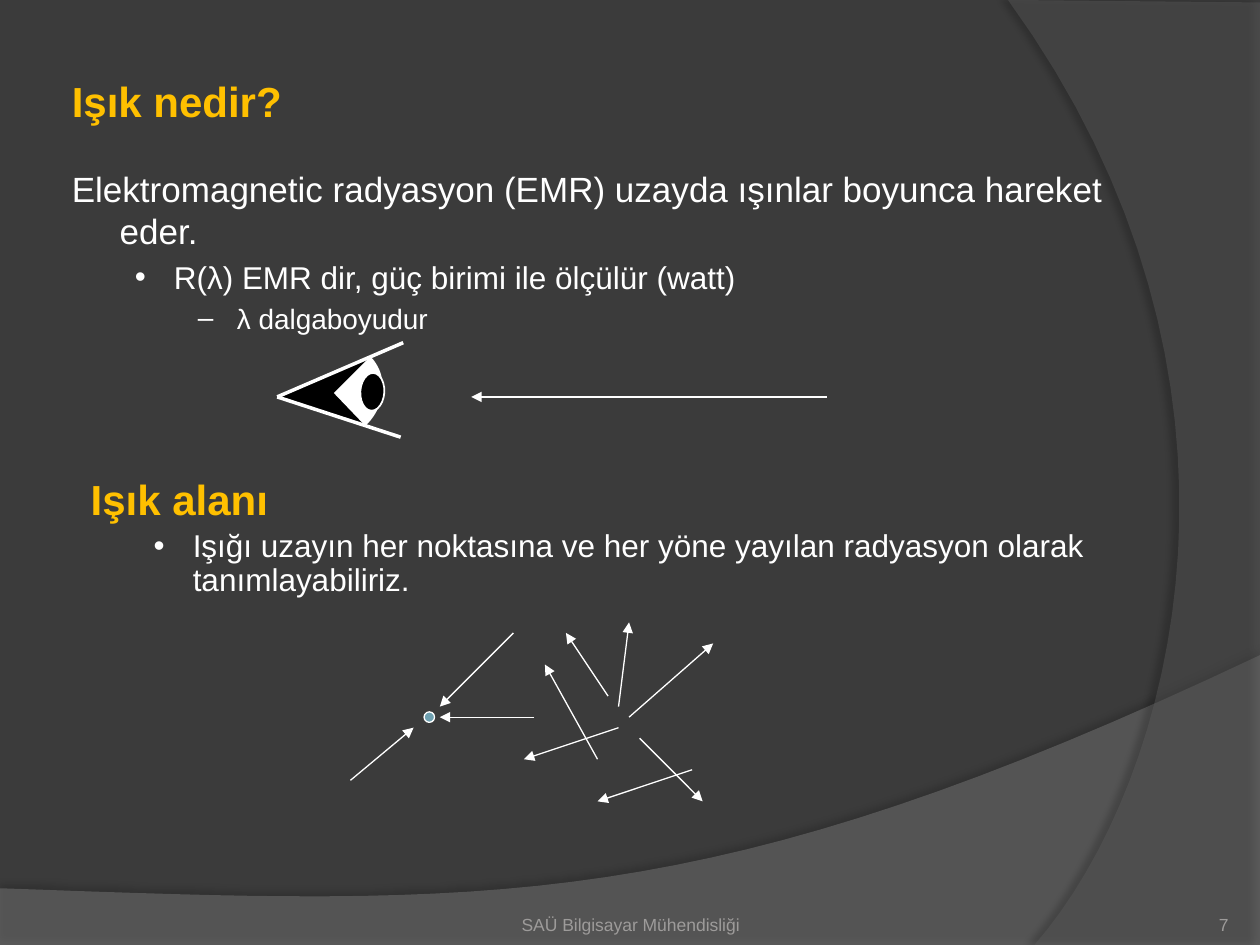
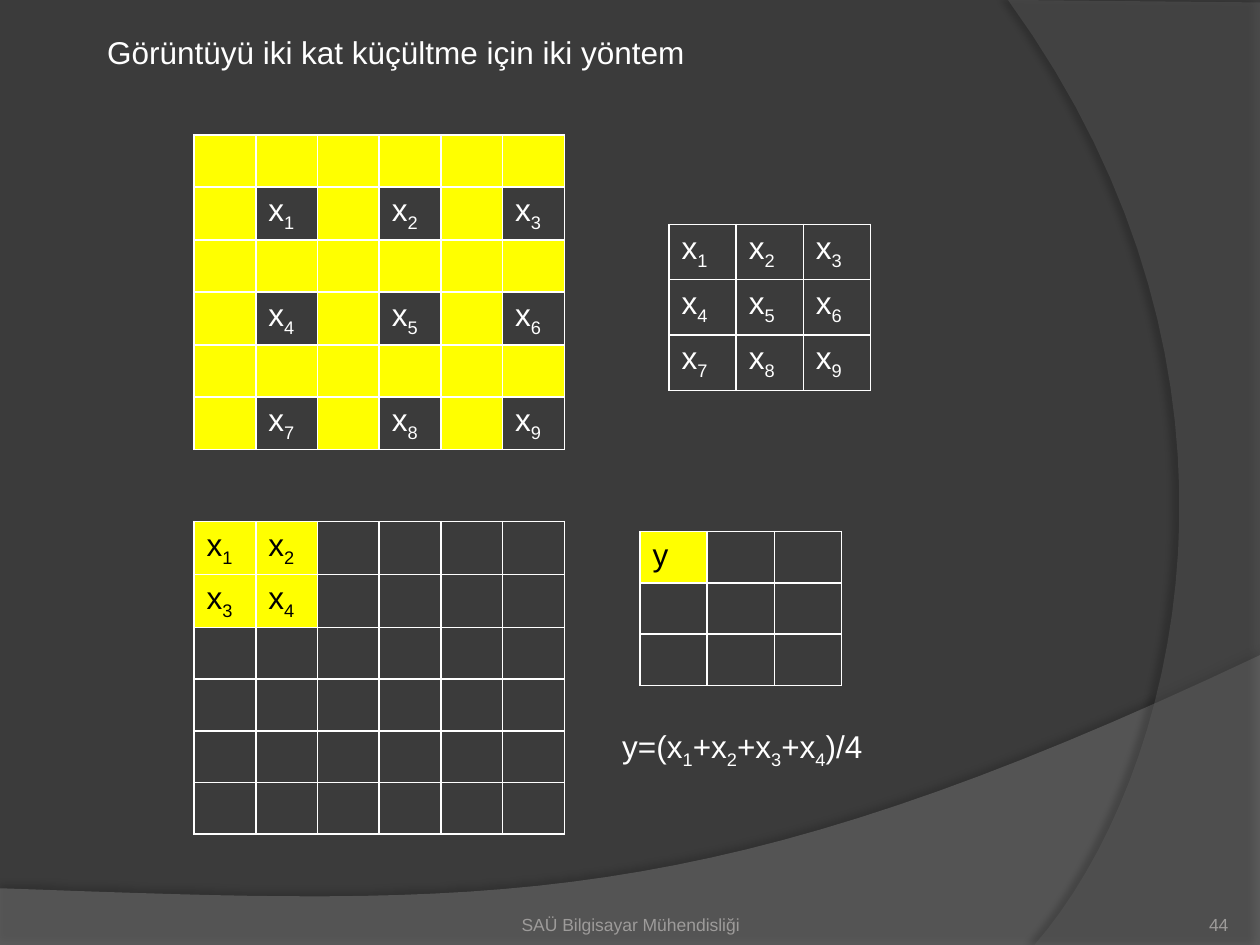
from dataclasses import dataclass

from lxml.etree import SubElement
from pptx import Presentation
from pptx.dml.color import RGBColor
from pptx.enum.shapes import MSO_CONNECTOR, MSO_SHAPE
from pptx.enum.text import MSO_ANCHOR, MSO_AUTO_SIZE, PP_ALIGN
from pptx.oxml.ns import qn
from pptx.util import Inches, Pt

CELL = Inches(0.1)
COLS, ROWS = 100, 75


@dataclass(frozen=True)
class Theme:
    font: str = "Arial"
    back: str = "3B3B3B"
    band: str = "7F7F7F"
    side: str = "5E5E5E"
    heading: str = "FFC000"
    text: str = "FFFFFF"
    dark: str = "000000"
    mark: str = "FFFF00"
    dot: str = "6EA0B0"
    footer: str = "9D9B9A"
    head_size: int = 24
    lead_size: int = 20
    body_size: int = 18
    sub_size: int = 16
    foot_size: int = 10


T = Theme()


@dataclass(frozen=True)
class Level:
    size: int
    margin: float
    hang: float
    bullet: str = ""
    depth: int = 0
    color: str = T.text
    bold: bool = False


HEADING = Level(T.head_size, 0.38, 0.38, color=T.heading, bold=True)
LEAD = Level(T.lead_size, 0.38, 0.38)
POINT = Level(T.body_size, 0.81, 0.31, "•", 1)
SUBPOINT = Level(T.sub_size, 1.31, 0.31, "–", 2)


@dataclass(frozen=True)
class Box:
    left: float
    top: float
    width: float
    height: float
    cols: float = 0
    rows: float = 0

    def frame(self):
        return [round(v * CELL) for v in (self.left, self.top, self.width, self.height)]

    def point(self, col, row):
        dx = col * self.width / (self.cols or self.width)
        dy = row * self.height / (self.rows or self.height)
        return round((self.left + dx) * CELL), round((self.top + dy) * CELL)

    def region(self, col, row, cols, rows):
        x, y = self.point(col, row)
        right, bottom = self.point(col + cols, row + rows)
        return x, y, right - x, bottom - y


PAGE = Box(0, 0, COLS, ROWS)


def rgb(color):
    return RGBColor.from_string(color)


def style_run(r, size, color, bold=False):
    r.font.name, r.font.size, r.font.bold = T.font, Pt(size), bold
    r.font.color.rgb = rgb(color)


def write_indexed(p, text, color):
    base, *indexed = text.split("_")
    pieces = [(base, False)]
    for chunk in indexed:
        pieces += [(chunk[0], True), (chunk[1:], False)]
    for piece, lowered in pieces:
        if piece:
            r = p.add_run()
            r.text = piece
            style_run(r, T.body_size, color)
            if lowered:
                r._r.get_or_add_rPr().set("baseline", "-25000")


def paint(sp, fill=None, line=None, width=0.75):
    sp.shadow.inherit = False
    if fill:
        sp.fill.solid()
        sp.fill.fore_color.rgb = rgb(fill)
    else:
        sp.fill.background()
    if line:
        sp.line.color.rgb = rgb(line)
        sp.line.width = Pt(width)
    else:
        sp.line.fill.background()


def curve(p0, p1, p2, p3, steps=32):
    def at(t):
        weights = (1 - t) ** 3, 3 * t * (1 - t) ** 2, 3 * t * t * (1 - t), t ** 3
        return tuple(sum(w * p[i] for w, p in zip(weights, (p0, p1, p2, p3))) for i in (0, 1))
    return [at(n / steps) for n in range(steps + 1)]


def outline(s, box, points, close=True):
    start, *rest = [box.point(*point) for point in points]
    builder = s.shapes.build_freeform(*start)
    builder.add_line_segments(rest, close=close)
    return builder.convert_to_shape()


def add_line(s, box, start, end, width=0.75, arrow=False):
    line = s.shapes.add_connector(MSO_CONNECTOR.STRAIGHT, *box.point(*start), *box.point(*end))
    line.line.color.rgb = rgb(T.text)
    line.line.width = Pt(width)
    spPr = line.element.spPr
    if arrow:
        SubElement(spPr.find(qn("a:ln")), qn("a:tailEnd"), type="triangle")
    SubElement(spPr, qn("a:effectLst"))


def place_frame(sp, box, anchor=MSO_ANCHOR.TOP):
    sp.left, sp.top, sp.width, sp.height = box.frame()
    tf = sp.text_frame
    tf.word_wrap, tf.auto_size = True, MSO_AUTO_SIZE.NONE
    tf.vertical_anchor = anchor
    return tf


def place_title(s, box, text, size, color, bold):
    tf = place_frame(s.shapes.title, box)
    tf.text = text
    p = tf.paragraphs[0]
    p.alignment = PP_ALIGN.LEFT
    style_run(p.runs[0], size, color, bold)


def place_list(sp, box, items, spacing=1.0):
    tf = place_frame(sp, box)
    tf.text = "\n".join(text for _, text in items)
    for n, (p, (level, _)) in enumerate(zip(tf.paragraphs, items)):
        p.level = level.depth
        pPr = p._p.get_or_add_pPr()
        pPr.set("marL", str(Inches(level.margin)))
        pPr.set("indent", str(-Inches(level.hang)))
        if level.bullet:
            SubElement(pPr, qn("a:buChar"), char=level.bullet)
        else:
            SubElement(pPr, qn("a:buNone"))
        p.line_spacing = spacing
        p.space_before = Pt(0.2 * level.size if n else 0)
        style_run(p.runs[0], level.size, level.color, level.bold)


def place_footer(s, number):
    entries = [("SAÜ Bilgisayar Mühendisliği", Box(34.2, 70.2, 31.7, 4), PP_ALIGN.CENTER),
               (number, Box(89.2, 70.2, 8.3, 4), PP_ALIGN.RIGHT)]
    for text, box, align in entries:
        tf = place_frame(s.shapes.add_textbox(*box.frame()), box, MSO_ANCHOR.BOTTOM)
        tf.margin_left = tf.margin_right = tf.margin_top = tf.margin_bottom = 0
        tf.text = text
        p = tf.paragraphs[0]
        p.alignment = align
        style_run(p.runs[0], T.foot_size, T.footer)


def add_band(s, points, color, opacity, shade, distance, angle):
    sp = outline(s, PAGE, points)
    sp.fill.solid()
    sp.fill.fore_color.rgb = rgb(color)
    sp.line.fill.background()
    spPr = sp.element.spPr
    SubElement(spPr.find(".//" + qn("a:srgbClr")), qn("a:alpha"), val=str(opacity * 1000))
    effects = SubElement(spPr, qn("a:effectLst"))
    shadow = SubElement(effects, qn("a:outerShdw"), blurRad=str(Pt(4)), dist=str(Pt(distance)),
                        dir=str(angle * 60000), algn="ctr", rotWithShape="0")
    tint = SubElement(shadow, qn("a:srgbClr"), val=T.dark)
    SubElement(tint, qn("a:alpha"), val=str(shade * 1000))
    return sp


def build_master(prs, s):
    master = prs.slide_master
    master.background.fill.solid()
    master.background.fill.fore_color.rgb = rgb(T.back)
    lower = [(0, 70.5), (0, 75), (100, 75)] + curve((100, 52), (55.9, 72.9), (39.1, 71.9), (0, 70.5))
    side = [(100, 0.2), (100, 75)] + curve((82.1, 75), (93.5, 61.9), (101.8, 30), (80, 0))
    bands = [add_band(s, lower, T.band, 45, 35, 3.5, 270),
             add_band(s, side, T.side, 40, 45, 4, 180)]
    for n, band in enumerate(bands):
        band.element.xpath(".//p:cNvPr")[0].set("id", str(100 + n))
        master.shapes.element.insert(2 + n, band.element)


def draw_eye(s, box):
    tip, upper, lower = (0, 4.3), (10, 0), (9.8, 7.5)
    front = curve((7.3, 1.2), (8.7, 2.6), (8.5, 5), (6.9, 6.5))
    paint(outline(s, box, [tip] + front), T.dark)
    paint(outline(s, box, front + [(4.5, 4)]), T.text)
    paint(outline(s, box, front, close=False), line=T.text, width=2)
    add_line(s, box, upper, tip, 2)
    iris = s.shapes.add_shape(MSO_SHAPE.OVAL, *box.region(6.6, 2.4, 1.9, 3))
    iris.rotation = 3.4
    paint(iris, T.dark, T.text, 1)
    add_line(s, box, tip, lower, 2)


def draw_light_field(s, box):
    dot = s.shapes.add_shape(MSO_SHAPE.OVAL, *box.region(7.5, 8.5, 1, 1))
    paint(dot, T.dot, T.text)
    rays = [((16, 1), (9, 8)), ((18, 9), (9, 9)), ((24, 13), (19, 4)), ((27, 9), (35, 2)),
            ((26, 8), (27, 0)), ((25, 7), (21, 1)), ((26, 10), (17, 13)), ((33, 14), (24, 17)),
            ((28, 11), (34, 17)), ((0.5, 15), (6.5, 10))]
    for start, end in rays:
        add_line(s, box, start, end, arrow=True)


def draw_grid(s, box, texts, marked=()):
    table = s.shapes.add_table(box.rows, box.cols, *box.frame()).table
    table.first_row = table.horz_banding = False
    for row in range(box.rows):
        for col in range(box.cols):
            cell = table.cell(row, col)
            tcPr = cell._tc.get_or_add_tcPr()
            for edge in ("lnL", "lnR", "lnT", "lnB"):
                ln = SubElement(tcPr, qn("a:" + edge), w=str(Pt(1)))
                SubElement(SubElement(ln, qn("a:solidFill")), qn("a:srgbClr"), val=T.text)
            lit = (row, col) in marked
            if lit:
                cell.fill.solid()
                cell.fill.fore_color.rgb = rgb(T.mark)
            else:
                cell.fill.background()
            if (row, col) in texts:
                write_indexed(cell.text_frame.paragraphs[0], texts[row, col], T.dark if lit else T.text)


def numbered(side, first=0, step=1):
    return {(first + step * (n // side), first + step * (n % side)): f"x_{n + 1}"
            for n in range(side * side)}


def build_light_slide(s):
    place_title(s, Box(4.7, 5.5, 89.1, 4.8), "Işık nedir?", T.head_size, T.heading, True)
    _, radiation, field = s.placeholders
    place_list(radiation, Box(4.7, 12.8, 89.1, 18.1), [
        (LEAD, "Elektromagnetic radyasyon (EMR) uzayda ışınlar boyunca hareket eder."),
        (POINT, "R(λ) EMR dir, güç birimi ile ölçülür (watt)"),
        (SUBPOINT, "λ dalgaboyudur")])
    place_list(field, Box(6.2, 37.5, 89.8, 13.7), [
        (HEADING, "Işık alanı"),
        (POINT, "Işığı uzayın her noktasına ve her yöne yayılan radyasyon olarak tanımlayabiliriz.")],
        0.9)
    draw_eye(s, Box(22, 27.2, 10, 7.5))
    add_line(s, PAGE, (65.6, 31.5), (37.4, 31.5), arrow=True)
    draw_light_field(s, Box(27.4, 49.4, 29.2, 14.2, 35, 17))
    place_footer(s, "7")


def build_shrink_slide(s):
    place_title(s, Box(7.5, 2.1, 79.5, 4), "Görüntüyü iki kat küçültme için iki yöntem",
                T.body_size, T.text, False)
    kept = numbered(3, first=1, step=2)
    dropped = {(row, col) for row in range(6) for col in range(6)} - set(kept)
    block = numbered(2)
    draw_grid(s, Box(15.4, 10.7, 29.4, 24.8, 6, 6), kept, dropped)
    draw_grid(s, Box(53.1, 17.8, 16, 13.2, 3, 3), numbered(3))
    draw_grid(s, Box(15.4, 41.4, 29.4, 24.6, 6, 6), block, block)
    draw_grid(s, Box(50.8, 42.2, 16, 12.2, 3, 3), {(0, 0): "y"}, {(0, 0)})
    box = Box(48.4, 57.2, 37, 4)
    tf = place_frame(s.shapes.add_textbox(*box.frame()), box)
    write_indexed(tf.paragraphs[0], "y=(x_1+x_2+x_3+x_4)/4", T.text)
    place_footer(s, "44")


def main():
    prs = Presentation()
    prs.slide_width, prs.slide_height = COLS * CELL, ROWS * CELL
    light = prs.slides.add_slide(prs.slide_layouts.get_by_name("Two Content"))
    build_master(prs, light)
    build_light_slide(light)
    build_shrink_slide(prs.slides.add_slide(prs.slide_layouts.get_by_name("Title Only")))
    prs.save("out.pptx")


if __name__ == "__main__":
    main()
